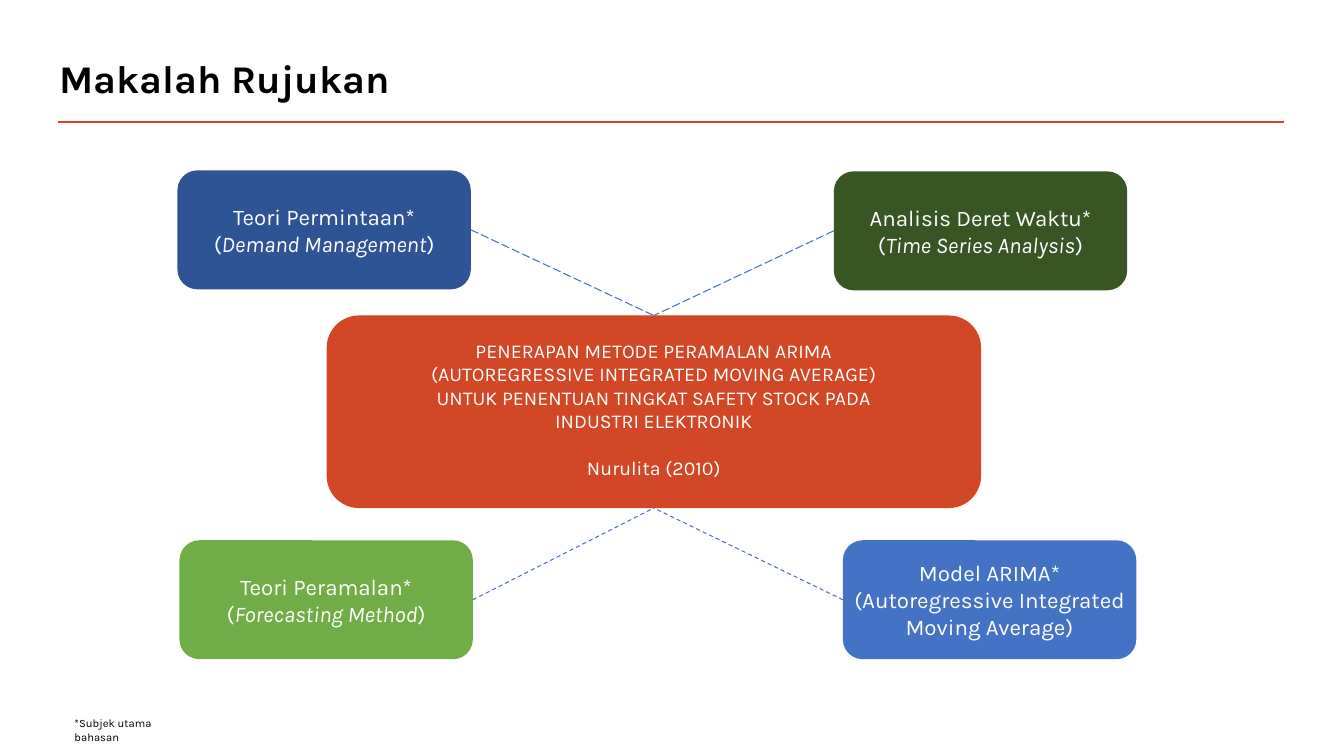
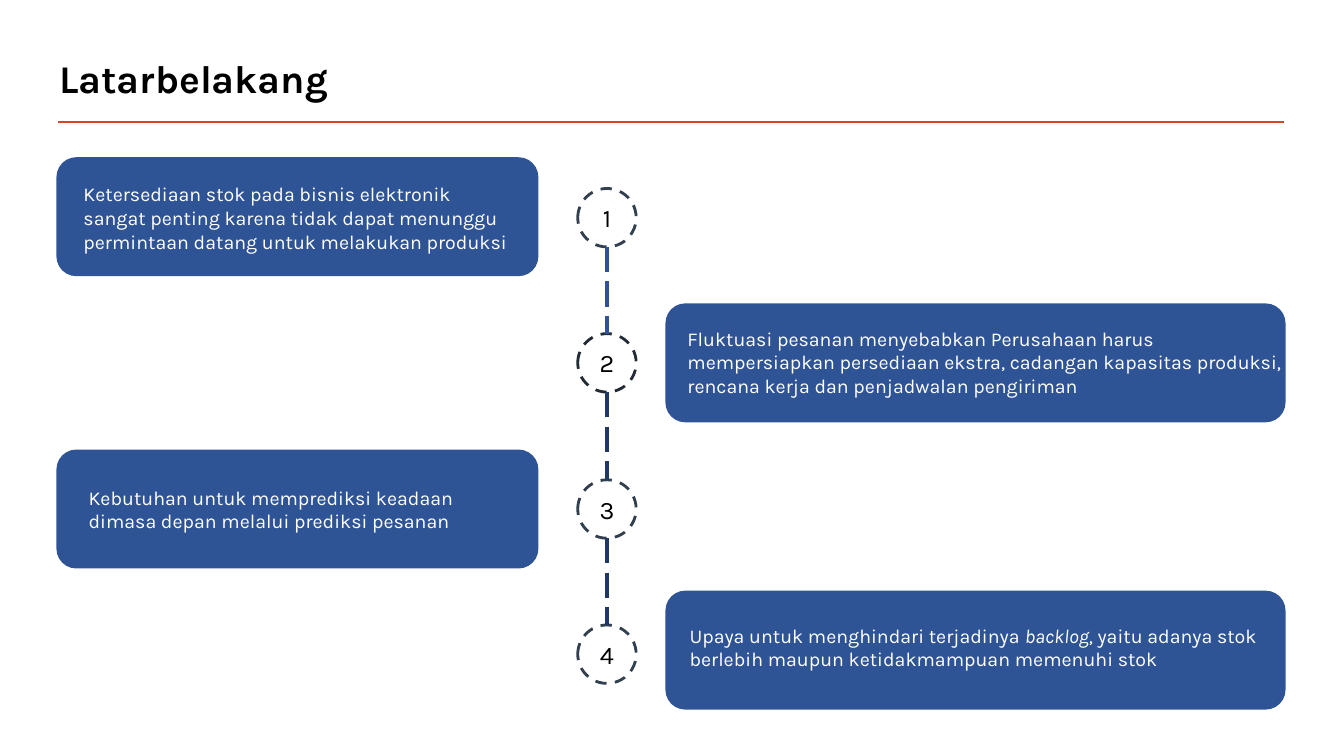
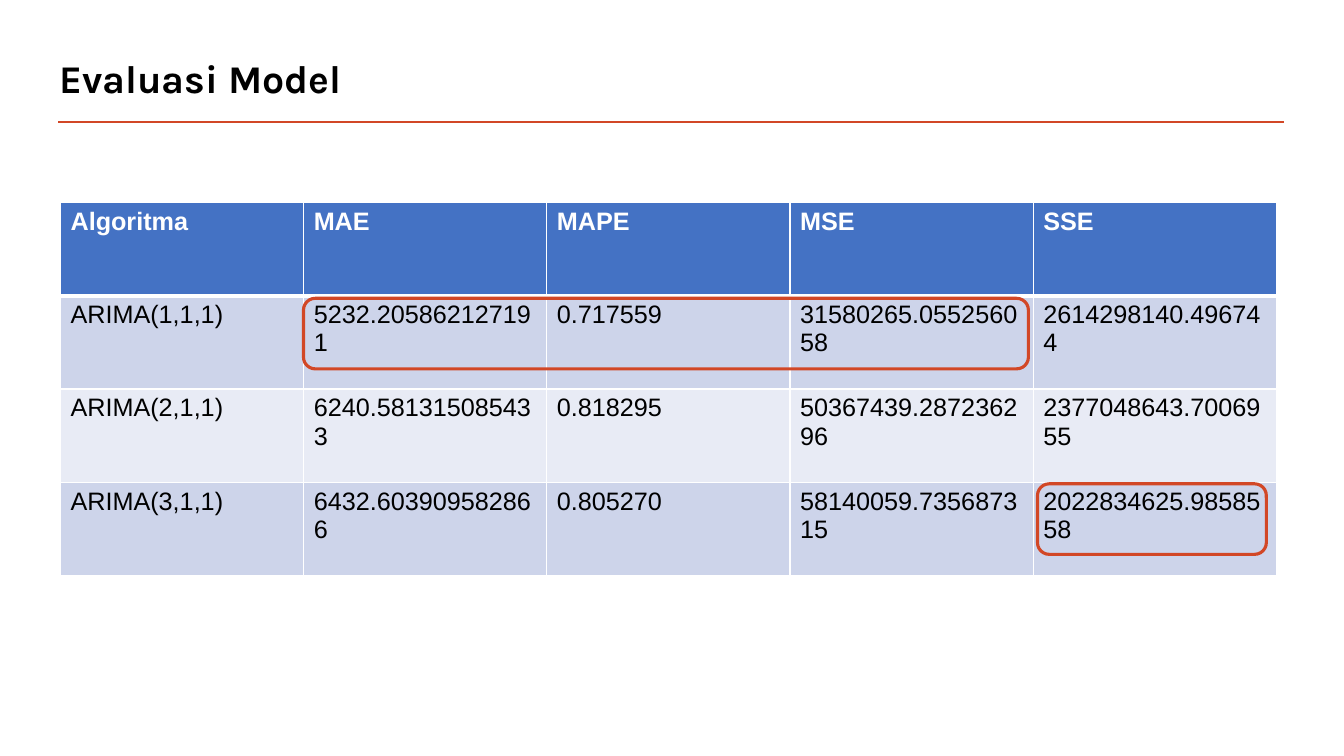
import pptx
import pptx.dml.color
import pptx.enum.dml
import pptx.enum.shapes
import pptx.enum.text
import pptx.oxml
import pptx.oxml.ns
import pptx.util

PX = 9144  # EMU per px, 100 px to the inch
ORANGE, NAVY, BLUE = "D24726", "2F5496", "4472C4"
DARK_GREEN, GREEN, DEEP_NAVY = "385623", "70AD47", "1F3864"
SLATE, INK, BLACK, WHITE = "323F4F", "222A35", "000000", "FFFFFF"
BAND_DARK, BAND_LIGHT = "CDD4EA", "E8EBF5"

SHAPE = pptx.enum.shapes.MSO_SHAPE
ALIGN = pptx.enum.text.PP_ALIGN
ANCHOR = pptx.enum.text.MSO_ANCHOR
DASH = pptx.enum.dml.MSO_LINE
TITLE_FONT = {"name": "Karla", "size": pptx.util.Pt(28), "bold": True}
TOP, LEFT, BOTTOM, RIGHT = range(4)


def px(*values):
    return [pptx.util.Emu(v * PX) for v in values]


def rgb(color):
    return pptx.dml.color.RGBColor.from_string(color)


def set_attrs(target, values):
    for name, value in values.items():
        setattr(target, name, value)


def karla(size):
    return {"name": "Karla", "size": pptx.util.Pt(size)}


def set_line(line, color, width, dash=None):
    line.color.rgb = rgb(color)
    set_attrs(line, {"width": pptx.util.Pt(width), "dash_style": dash})


def write(sp, paragraphs, font, color, align=ALIGN.LEFT, anchor=ANCHOR.TOP,
          margins=(10, 5, 10, 5)):
    """Fill the text frame; text between underscores is italic."""
    tf = sp.text_frame
    sides = ("margin_left", "margin_top", "margin_right", "margin_bottom")
    set_attrs(tf, {"word_wrap": True, "vertical_anchor": anchor,
                   **dict(zip(sides, px(*margins)))})
    for i, text in enumerate(paragraphs):
        p = tf.add_paragraph() if i else tf.paragraphs[0]
        p.alignment = align
        for j, part in enumerate(text.split("_")):
            r = p.add_run()
            r.text = part
            set_attrs(r.font, font)
            r.font.color.rgb = rgb(color)
            if j % 2:
                r.font.italic = True
    return tf


def add_text(slide, box, paragraphs, font, color=BLACK, **options):
    sp = slide.shapes.add_textbox(*px(*box))
    return write(sp, paragraphs, font, color, **options)


def add_shape(slide, kind, box, fill=None):
    sp = slide.shapes.add_shape(kind, *px(*box))
    sp.shadow.inherit = False
    if fill:
        sp.fill.solid()
        sp.fill.fore_color.rgb = rgb(fill)
    else:
        sp.fill.background()
    sp.line.fill.background()
    return sp


def add_card(slide, box, fill):
    return add_shape(slide, SHAPE.ROUNDED_RECTANGLE, box, fill)


def add_highlight(slide, box):
    set_line(add_card(slide, box, None).line, ORANGE, 2.25)


def add_line(slide, ends, color, width, dash=None):
    line = slide.shapes.add_connector(
        pptx.enum.shapes.MSO_CONNECTOR.STRAIGHT, *px(*ends))
    line._element.spPr.append(pptx.oxml.parse_xml(
        "<a:effectLst %s/>" % pptx.oxml.ns.nsdecls("a")))
    set_line(line.line, color, width, dash)
    return line


def add_slide(prs, title):
    slide = prs.slides.add_slide(prs.slide_layouts[6])
    add_line(slide, (58, 121, 1274, 121), ORANGE, 2)
    tf = add_text(slide, (49, 45, 1000, 70), [title], TITLE_FONT,
                  anchor=ANCHOR.MIDDLE)
    tf.paragraphs[0].line_spacing = 0.9
    return slide


def add_borders(cell, top, bottom):
    tcPr = cell._tc.get_or_add_tcPr()
    for side, width in (("L", 1), ("R", 1), ("T", top), ("B", bottom)):
        tcPr.append(pptx.oxml.parse_xml(
            '<a:ln%s %s w="%d"><a:solidFill><a:srgbClr val="%s"/></a:solidFill></a:ln%s>'
            % (side, pptx.oxml.ns.nsdecls("a"), pptx.util.Pt(width), WHITE, side)))


def add_table(slide, box, rows):
    table = slide.shapes.add_table(len(rows), len(rows[0]), *px(*box)).table
    for i, row in enumerate(rows):
        header = i == 0
        fill = BLUE if header else (BAND_LIGHT, BAND_DARK)[i % 2]
        font = {"name": "Arial", "size": pptx.util.Pt(18), "bold": header}
        for j, text in enumerate(row):
            cell = table.cell(i, j)
            add_borders(cell, 3 if i == 1 else 1, 3 if header else 1)
            cell.fill.solid()
            cell.fill.fore_color.rgb = rgb(fill)
            write(cell, [text], font, WHITE if header else BLACK)


def build_references(prs):
    slide = add_slide(prs, "Makalah Rujukan")
    centered = {"align": ALIGN.CENTER, "anchor": ANCHOR.MIDDLE}
    paper = add_card(slide, (324, 313, 649, 191), ORANGE)
    tf = write(paper, ["PENERAPAN METODE PERAMALAN ARIMA",
                       "(AUTOREGRESSIVE INTEGRATED MOVING AVERAGE)",
                       "UNTUK PENENTUAN TINGKAT SAFETY STOCK PADA",
                       "INDUSTRI ELEKTRONIK",
                       "Nurulita (2010)"],
               karla(14), WHITE, margins=(10, 5, 10, 10), **centered)
    tf.paragraphs[-1].space_before = pptx.util.Pt(17)

    topics = [
        (176, 169, NAVY, RIGHT, TOP, ["Teori Permintaan*", "(_Demand Management_)"]),
        (827, 170, DARK_GREEN, LEFT, TOP, ["Analisis Deret Waktu*", "(_Time Series Analysis_)"]),
        (178, 536, GREEN, RIGHT, BOTTOM, ["Teori Peramalan*", "(_Forecasting Method_)"]),
        (836, 536, BLUE, LEFT, BOTTOM,
         ["Model ARIMA* (Autoregressive Integrated Moving Average)"]),
    ]
    for x, y, fill, side, paper_side, lines in topics:
        card = add_card(slide, (x, y, 291, 118), fill)
        write(card, lines, karla(16), WHITE, margins=(4, 5, 4, 5), **centered)
        dash = DASH.LONG_DASH if paper_side == TOP else DASH.DASH
        link = add_line(slide, (0, 0, 0, 0), BLUE, 0.75, dash)
        link.begin_connect(card, side)
        link.end_connect(paper, paper_side)
    add_text(slide, (64, 706, 137, 24), ["*Subjek utama bahasan"], karla(8))


def build_background(prs):
    slide = add_slide(prs, "Latarbelakang")
    left, right = (56, 478), (660, 615)
    reasons = [
        (left, 156, (73, 176, 444, 81),
         "Ketersediaan stok pada bisnis elektronik sangat penting karena tidak "
         "dapat menunggu permintaan datang untuk melakukan produksi"),
        (right, 301, (672, 319, 626, 81),
         "Fluktuasi pesanan menyebabkan Perusahaan harus mempersiapkan persediaan "
         "ekstra, cadangan kapasitas produksi, rencana kerja dan penjadwalan pengiriman"),
        (left, 446, (78, 477, 421, 57),
         "Kebutuhan untuk memprediksi keadaan dimasa depan melalui prediksi pesanan"),
        (right, 586, (674, 614, 591, 57),
         "Upaya untuk menghindari terjadinya _backlog_, yaitu adanya stok berlebih "
         "maupun ketidakmampuan memenuhi stok"),
    ]
    for (x, width), y, text_box, text in reasons:
        add_card(slide, (x, y, width, 118), NAVY)
        add_text(slide, text_box, [text], karla(14), WHITE)

    size, first, last = 58, 187, 620
    tops = [first + round(i * (last - first) / 3) for i in range(4)]
    for i, (y, color) in enumerate(zip(tops, (SLATE, INK, SLATE, SLATE))):
        circle = add_shape(slide, SHAPE.OVAL, (573, y, size, size))
        set_line(circle.line, color, 2, DASH.DASH)
        write(circle, [str(i + 1)], karla(18), BLACK, align=ALIGN.CENTER,
              anchor=ANCHOR.MIDDLE, margins=(0, 0, 0, 0))
    for y, below, color in zip(tops, tops[1:], (NAVY, DEEP_NAVY, DEEP_NAVY)):
        add_line(slide, (602, y + size, 602, below), color, 2.25, DASH.LONG_DASH)


def build_evaluation(prs):
    slide = add_slide(prs, "Evaluasi Model")
    add_table(slide, (60, 201, 1206, 370), [
        ["Algoritma", "MAE", "MAPE", "MSE", "SSE"],
        ["ARIMA(1,1,1)", "5232.205862127191", "0.717559",
         "31580265.055256058", "2614298140.496744"],
        ["ARIMA(2,1,1)", "6240.581315085433", "0.818295",
         "50367439.287236296", "2377048643.7006955"],
        ["ARIMA(3,1,1)", "6432.603909582866", "0.805270",
         "58140059.735687315", "2022834625.9858558"],
    ])
    add_highlight(slide, (301, 296, 719, 70))
    add_highlight(slide, (1029, 480, 227, 70))


def main():
    prs = pptx.Presentation()
    prs.slide_width, prs.slide_height = px(1333, 750)
    build_references(prs)
    build_background(prs)
    build_evaluation(prs)
    prs.save("out.pptx")


if __name__ == "__main__":
    main()
